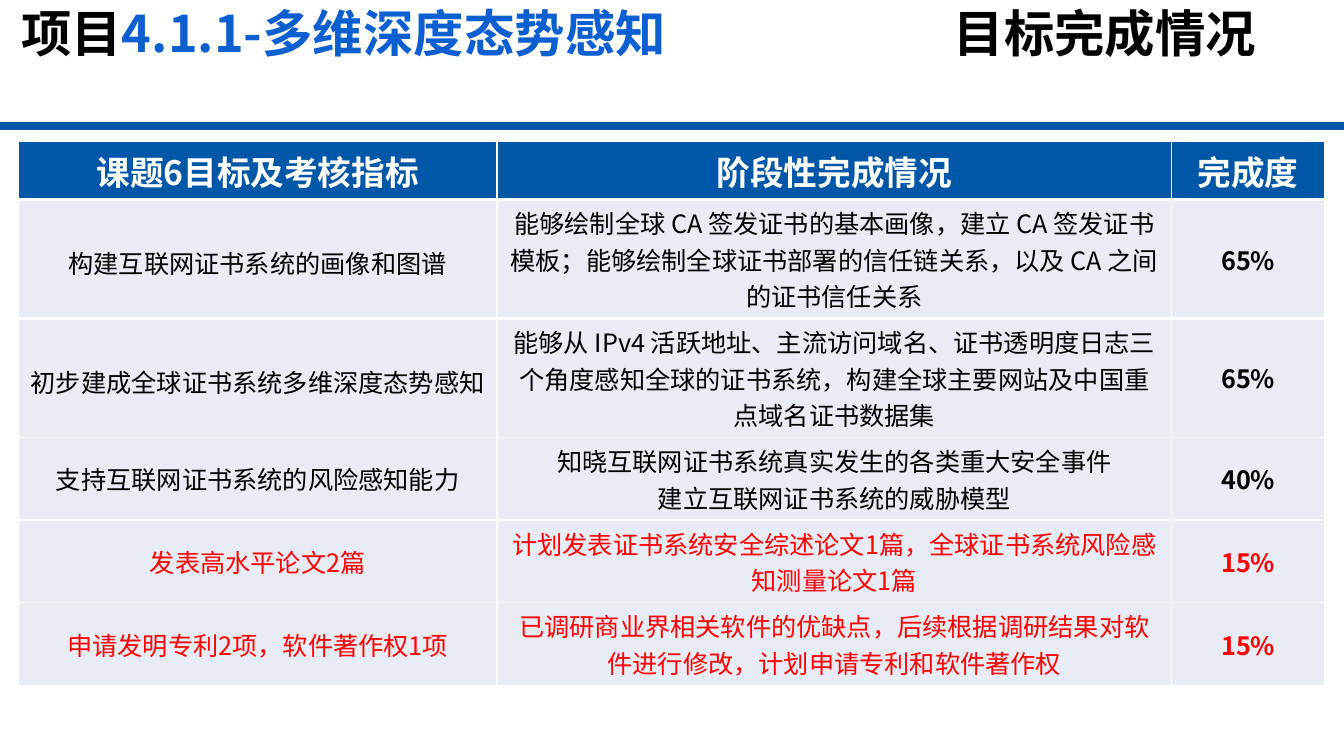
"""Build the slide on goals and progress of project 4.1.1."""
import pptx
import pptx.util
import pptx.dml.color
import pptx.enum.shapes
import pptx.enum.text
import lxml.etree

Inches = pptx.util.Inches
Pt = pptx.util.Pt
FACE = "Noto Sans CJK SC"
BLUE = "0057A7"
DRAWING = "{http://schemas.openxmlformats.org/drawingml/2006/main}"


def paint(target, shade):
    if hasattr(target, "solid"):
        target.solid()
        target = target.fore_color
    target.rgb = pptx.dml.color.RGBColor.from_string(shade)


def style(par, size, shade, bold):
    font = par.font
    font.size = Pt(size)
    font.bold = bold
    paint(font.color, shade)
    font.name = FACE
    east = lxml.etree.SubElement(font._element, DRAWING + "ea")
    east.set("typeface", FACE)


deck = pptx.Presentation()
deck.slide_width = Inches(13.33)
deck.slide_height = Inches(7.5)
slide = deck.slides.add_slide(deck.slide_layouts[6])

rule = slide.shapes.add_connector(
    pptx.enum.shapes.MSO_CONNECTOR.STRAIGHT, 0, Inches(1.25), Inches(13.33), Inches(1.25))
rule.line.width = Pt(6)
paint(rule.line.fill, BLUE)
lxml.etree.SubElement(rule._element.spPr, DRAWING + "effectLst")

title = slide.shapes.add_textbox(0, 0, Inches(13.33), Inches(1.25))
frame = title.text_frame
frame.word_wrap = True
frame.margin_left = Inches(0.21)
frame.margin_top = Inches(0.09)
par = frame.paragraphs[0]
par.line_spacing = 0.9
style(par, 36, "000000", True)
tabs = lxml.etree.Element(DRAWING + "tabLst")
lxml.etree.SubElement(tabs, DRAWING + "tab", pos=str(Inches(9.25)), algn="l")
par.font._element.addprevious(tabs)
for text, shade in [("项目", "000000"), ("4.1.1-多维深度态势感知\t", "0B5FD1"),
                    ("目标完成情况", "000000")]:
    run = par.add_run()
    run.text = text
    paint(run.font.color, shade)

rows = [
    ("课题6目标及考核指标", "阶段性完成情况", "完成度"),
    ("构建互联网证书系统的画像和图谱",
     "能够绘制全球 CA 签发证书的基本画像，建立 CA 签发证书模板；"
     "能够绘制全球证书部署的信任链关系，以及 CA 之间的证书信任关系", "65%"),
    ("初步建成全球证书系统多维深度态势感知",
     "能够从 IPv4 活跃地址、主流访问域名、证书透明度日志三个角度感知全球的证书系统，"
     "构建全球主要网站及中国重点域名证书数据集", "65%"),
    ("支持互联网证书系统的风险感知能力",
     "知晓互联网证书系统真实发生的各类重大安全事件\n建立互联网证书系统的威胁模型", "40%"),
    ("发表高水平论文2篇",
     "计划发表证书系统安全综述论文1篇，全球证书系统风险感知测量论文1篇", "15%"),
    ("申请发明专利2项，软件著作权1项",
     "已调研商业界相关软件的优缺点，后续根据调研结果对软件进行修改，"
     "计划申请专利和软件著作权", "15%"),
]
widths = [4.75, 6.69, 1.52]
heights = [0.58, 1.18, 1.18, 0.82, 0.82, 0.82]
shades = ["FFFFFF"] + ["000000"] * 3 + ["FF0000"] * 2

table = slide.shapes.add_table(
    len(rows), len(widths), Inches(0.18), Inches(1.4),
    Inches(sum(widths)), Inches(sum(heights))).table
table.horz_banding = False
for col, width in zip(table.columns, widths):
    col.width = Inches(width)

for i, row in enumerate(rows):
    table.rows[i].height = Inches(heights[i])
    for j, text in enumerate(row):
        cell = table.cell(i, j)
        cell.text = text
        cell.vertical_anchor = pptx.enum.text.MSO_ANCHOR.MIDDLE
        paint(cell.fill, "E9EBF5" if i else BLUE)
        if i < 2:
            edge = lxml.etree.Element(DRAWING + ("lnT" if i else "lnB"), w=str(Pt(3)))
            fill = lxml.etree.SubElement(edge, DRAWING + "solidFill")
            lxml.etree.SubElement(fill, DRAWING + "srgbClr", val="FFFFFF")
            cell._tc.tcPr.insert(0, edge)
        if i and j == 0:
            cell.margin_left = cell.margin_right = Inches(0.02)
            cell.margin_top = cell.margin_bottom = 0
        for par in cell.text_frame.paragraphs:
            par.alignment = pptx.enum.text.PP_ALIGN.CENTER
            if i in (1, 2) and j == 0:
                par.line_spacing = 1.2
            style(par, 18 if i else 24, shades[i], i == 0 or j == 2)

deck.save("out.pptx")
